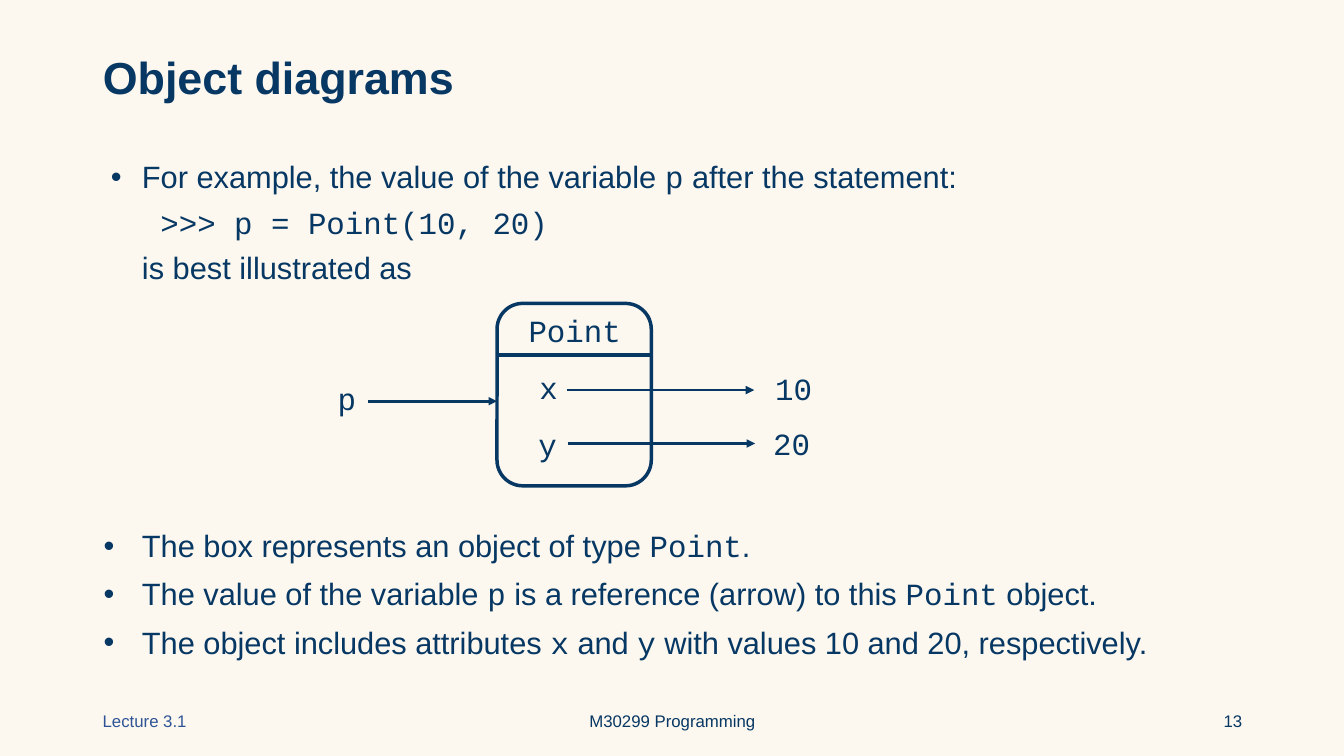
from dataclasses import dataclass

from lxml import etree
from pptx import Presentation
from pptx.dml.color import RGBColor
from pptx.enum import shapes, text
from pptx.oxml.ns import qn
from pptx.util import Inches, Pt

NAVY = RGBColor(0x07, 0x37, 0x63)
BLUE = RGBColor(0x2F, 0x54, 0x96)
CREAM = RGBColor(0xFC, 0xF8, 0xF0)
SANS, MONO = "Arial", "Courier New"
LEFT, CENTER, RIGHT = text.PP_ALIGN.LEFT, text.PP_ALIGN.CENTER, text.PP_ALIGN.RIGHT
BODY_INDENT = 0.39


@dataclass
class Span:
    words: str
    font: str = SANS


@dataclass
class Para:
    spans: list[Span]
    hanging: float = 0  # width of the bullet column; 0 means no bullet
    space_before: float = 0


@dataclass
class Label:
    words: str
    left: float
    top: float
    width: float
    align: text.PP_ALIGN = LEFT


@dataclass
class Footer:
    words: str
    left: float
    width: float
    align: text.PP_ALIGN
    color: RGBColor = NAVY


@dataclass
class Line:
    left: float
    right: float
    y: float
    weight: float = 2
    arrow: bool = True


INTRO = [
    Para([Span("For example, the value of the variable "), Span("p", MONO),
          Span(" after the statement:")], 0.31),
    Para([Span(" >>> p = Point(10, 20)", MONO)], space_before=6),
    Para([Span("is best illustrated as")], space_before=6),
]
NOTES = [
    Para([Span("The box represents an object of type "), Span("Point", MONO),
          Span(".")], 0.38),
    Para([Span("The value of the variable "), Span("p", MONO),
          Span(" is a reference (arrow) to this "), Span("Point", MONO),
          Span(" object.")], 0.38, 8),
    Para([Span("The object includes attributes "), Span("x", MONO), Span(" and "),
          Span("y", MONO), Span(" with values 10 and 20, respectively.")], 0.38, 8),
]
LABELS = [
    Label("p", 3.25, 3.72, 0.42),
    Label("Point", 4.93, 3.04, 1.54, CENTER),
    Label("x", 5.25, 3.61, 0.38),
    Label("y", 5.24, 4.17, 0.38),
    Label("10", 7.59, 3.62, 0.59),
    Label("20", 7.57, 4.16, 0.59),
]
LINES = [
    Line(3.65, 4.93, 3.98),
    Line(4.94, 6.47, 3.52, weight=2.5, arrow=False),
    Line(5.62, 7.48, 3.87),
    Line(5.63, 7.49, 4.4),
]
FOOTERS = [
    Footer("Lecture 3.1", 0.92, 3, LEFT, BLUE),
    Footer("M30299 Programming", 4.42, 4.5, CENTER),
    Footer("13", 9.42, 3, RIGHT),
]


def add_span(para, span: Span, size: float, color: RGBColor = NAVY, bold: bool = False) -> None:
    run = para.add_run()
    run.text = span.words
    run.font.name = span.font
    run.font.size = Pt(size)
    run.font.bold = bold
    run.font.color.rgb = color


def add_box(page, left: float, top: float, width: float, height: float):
    """Add an empty text box that wraps, and return its text frame."""
    box = page.shapes.add_textbox(Inches(left), Inches(top), Inches(width), Inches(height))
    box.text_frame.word_wrap = True
    return box.text_frame


def indent(para, hanging: float) -> None:
    """Set the body margin, with a hanging bullet when hanging is not zero."""
    props = para._p.get_or_add_pPr()
    props.set("marL", str(Inches(BODY_INDENT)))
    props.set("indent", str(-Inches(hanging)))
    if hanging:
        color = etree.SubElement(props, qn("a:buClr"))
        etree.SubElement(color, qn("a:srgbClr"), val=str(NAVY))
        etree.SubElement(props, qn("a:buFont"), typeface=SANS)
        etree.SubElement(props, qn("a:buChar"), char="•")


def add_body(page, top: float, height: float, paras: list[Para]) -> None:
    frame = add_box(page, 0.92, top, 11.5, height)
    for number, item in enumerate(paras):
        para = frame.add_paragraph() if number else frame.paragraphs[0]
        para.space_before = Pt(item.space_before)
        indent(para, item.hanging)
        for span in item.spans:
            add_span(para, span, 22)


def add_label(page, label: Label) -> None:
    frame = add_box(page, label.left, label.top, label.width, 0.47)
    frame.paragraphs[0].alignment = label.align
    add_span(frame.paragraphs[0], Span(label.words, MONO), 22)


def add_footer(page, footer: Footer) -> None:
    frame = add_box(page, footer.left, 6.95, footer.width, 0.4)
    frame.vertical_anchor = text.MSO_ANCHOR.MIDDLE
    frame.paragraphs[0].alignment = footer.align
    add_span(frame.paragraphs[0], Span(footer.words), 12, footer.color)


def add_line(page, line: Line) -> None:
    y = Inches(line.y)
    connector = page.shapes.add_connector(
        shapes.MSO_CONNECTOR.STRAIGHT, Inches(line.left), y, Inches(line.right), y)
    connector.line.color.rgb = NAVY
    connector.line.width = Pt(line.weight)
    if line.arrow:
        etree.SubElement(connector.line._get_or_add_ln(), qn("a:tailEnd"), type="triangle")
    etree.SubElement(connector._element.spPr, qn("a:effectLst"))


def add_object_box(page) -> None:
    box = page.shapes.add_shape(shapes.MSO_SHAPE.ROUNDED_RECTANGLE,
                                Inches(4.93), Inches(3.01), Inches(1.53), Inches(1.81))
    box.adjustments[0] = 0.167
    box.shadow.inherit = False
    box.fill.background()
    box.line.color.rgb = NAVY
    box.line.width = Pt(2.5)


def set_title(page, words: str) -> None:
    title = page.shapes.title
    title.left, title.top = Inches(0.92), Inches(0.4)
    title.width, title.height = Inches(11.5), Inches(0.79)
    title.text_frame.vertical_anchor = text.MSO_ANCHOR.MIDDLE
    para = title.text_frame.paragraphs[0]
    para.alignment = LEFT
    para.line_spacing = 0.9
    add_span(para, Span(words), 32, bold=True)


def main() -> None:
    deck = Presentation()
    deck.slide_width, deck.slide_height = Inches(13.33), Inches(7.5)
    page = deck.slides.add_slide(deck.slide_layouts.get_by_name("Title Only"))
    page.background.fill.solid()
    page.background.fill.fore_color.rgb = CREAM

    set_title(page, "Object diagrams")
    add_body(page, 1.52, 1.4, INTRO)
    add_body(page, 5.18, 1.57, NOTES)
    add_object_box(page)
    for line in LINES:
        add_line(page, line)
    for label in LABELS:
        add_label(page, label)
    for footer in FOOTERS:
        add_footer(page, footer)
    deck.save("out.pptx")


if __name__ == "__main__":
    main()
